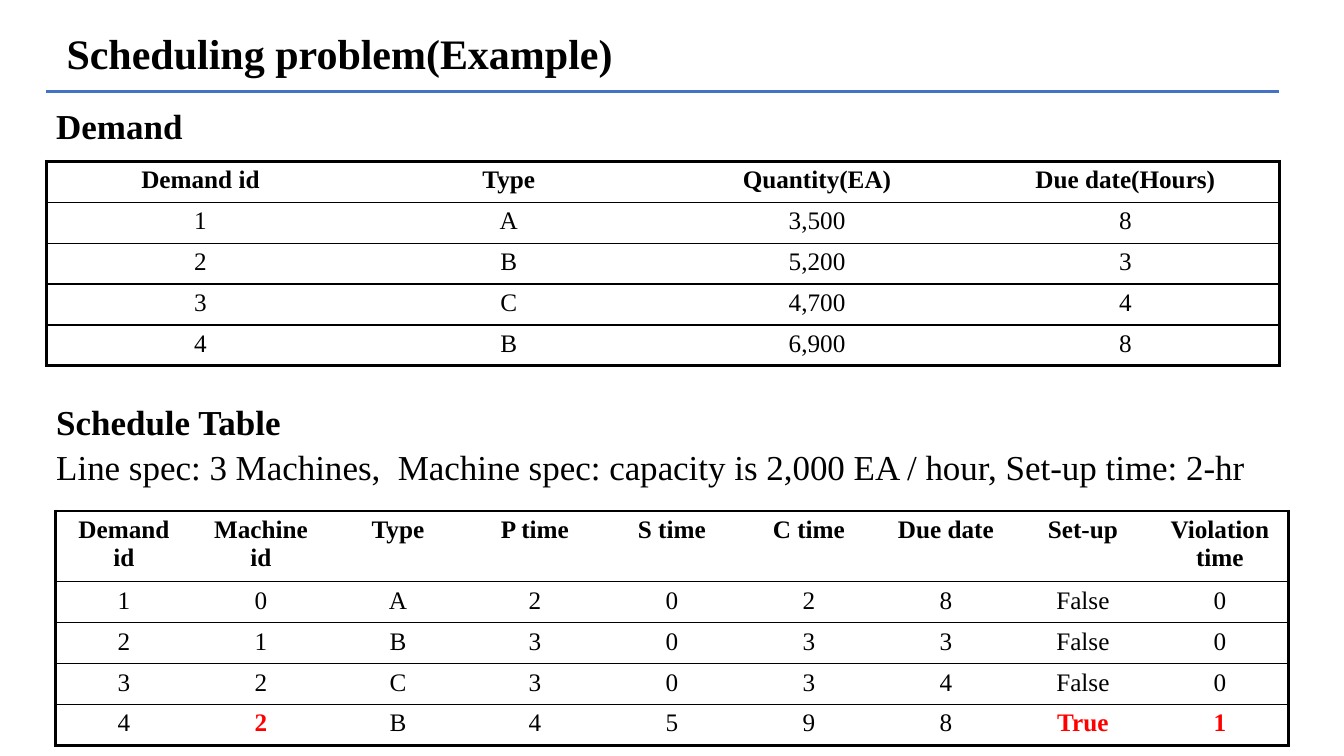
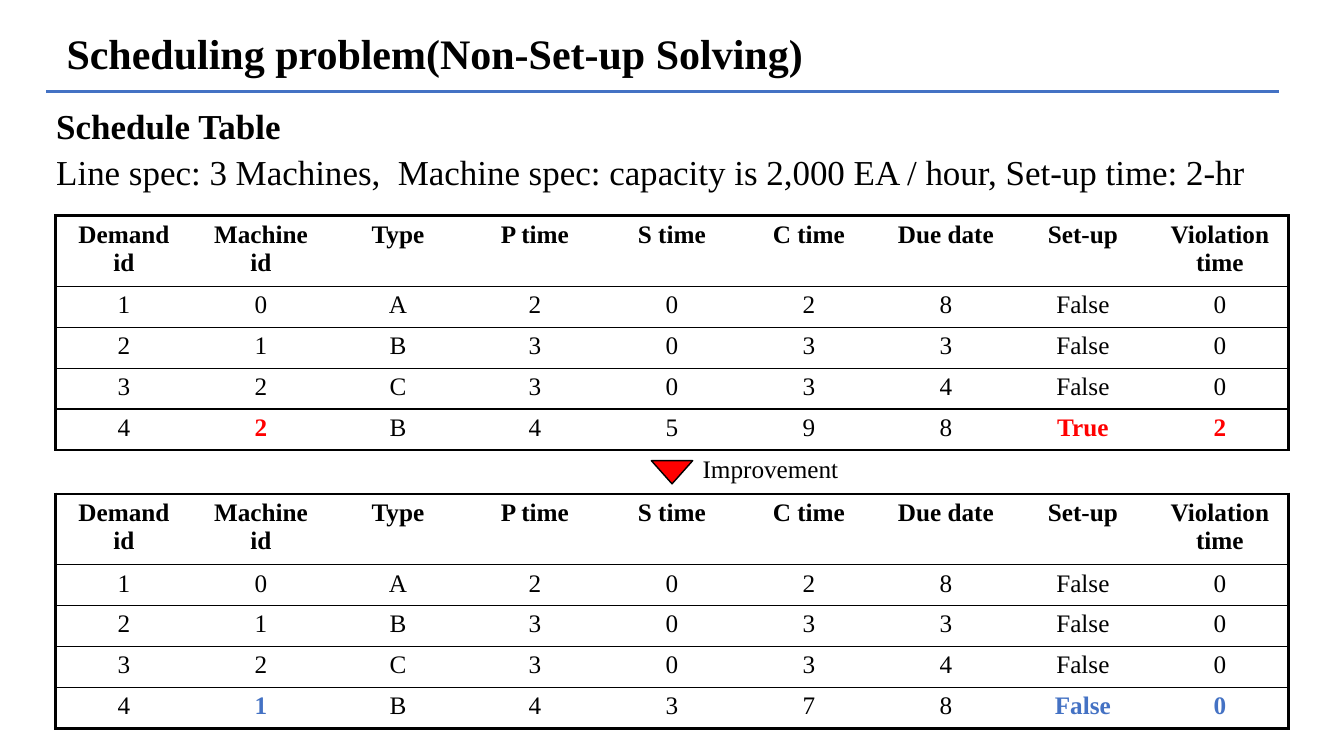
from lxml.etree import SubElement
from pptx import Presentation
from pptx.dml.color import RGBColor
from pptx.enum.shapes import MSO_CONNECTOR, MSO_SHAPE
from pptx.enum.text import MSO_ANCHOR, MSO_AUTO_SIZE, PP_ALIGN
from pptx.oxml.ns import qn
from pptx.util import Inches, Pt

FONT = "Times New Roman"
BLACK, BLUE, RED = "000000", "4472C4", "FF0000"
LEFT, WIDE, ROW = 0.46, 12.23, 2.03 / 5
GRID_LEFT, GRID_HIGH = 0.55, 2.32
THICK, THIN = 2.25, 1

DEMAND = [
    ("Demand id", "Type", "Quantity(EA)", "Due date(Hours)"),
    ("1", "A", "3,500", "8"),
    ("2", "B", "5,200", "3"),
    ("3", "C", "4,700", "4"),
    ("4", "B", "6,900", "8"),
]
PLAN = [
    ("Demand id", "Machine id", "Type", "P time", "S time", "C time",
     "Due date", "Set-up", "Violation time"),
    ("1", "0", "A", "2", "0", "2", "8", "False", "0"),
    ("2", "1", "B", "3", "0", "3", "3", "False", "0"),
    ("3", "2", "C", "3", "0", "3", "4", "False", "0"),
]
FIRST = ("4", "2", "B", "4", "5", "9", "8", "True", "1")
LATE = ("4", "2", "B", "4", "5", "9", "8", "True", "2")
BETTER = ("4", "1", "B", "4", "3", "7", "8", "False", "0")
MARKED = (1, 7, 8)
LINE_SPEC = ("Line spec: 3 Machines,  Machine spec: capacity is 2,000 EA / hour, "
             "Set-up time: 2-hr")


def color(code):
    return RGBColor.from_string(code)


def box(left, top, wide, high):
    return [Inches(n) for n in (left, top, wide, high)]


def write(frame, text, size, bold=False, tint=BLACK, align=PP_ALIGN.LEFT):
    frame.text = text
    para = frame.paragraphs[0]
    para.alignment = align
    font = para.font
    font.name, font.size, font.bold = FONT, Pt(size), bold
    font.color.rgb = color(tint)


def label(slide, text, top, size=25, bold=False, left=LEFT, wide=WIDE, high=0.52):
    frame = slide.shapes.add_textbox(*box(left, top, wide, high)).text_frame
    frame.word_wrap = True
    write(frame, text, size, bold)


def border(cell, side, width):
    props = cell._tc.get_or_add_tcPr()
    line = SubElement(props, qn("a:ln" + side), w=str(Pt(width)))
    if width:
        fill = SubElement(line, qn("a:solidFill"))
        SubElement(fill, qn("a:srgbClr"), val=BLACK)
    else:
        SubElement(line, qn("a:noFill"))


def grid(slide, rows, left, top, high, tint=None):
    count, span = len(rows), len(rows[0])
    table = slide.shapes.add_table(count, span, *box(left, top, WIDE, high)).table
    table.first_row = table.horz_banding = False
    for col in table.columns:
        col.width = Inches(WIDE / span)
    for y, row in enumerate(rows):
        table.rows[y].height = Inches(ROW if y else high - ROW * (count - 1))
        for x, text in enumerate(row):
            cell = table.cell(y, x)
            mark = tint and y == count - 1 and x in MARKED
            write(cell.text_frame, text, 18, bool(y == 0 or mark),
                  tint if mark else BLACK, PP_ALIGN.CENTER)
            border(cell, "L", THICK if x == 0 else 0)
            border(cell, "R", THICK if x == span - 1 else 0)
            border(cell, "T", THICK if y == 0 else THIN)
            border(cell, "B", THICK if y == count - 1 else THIN)
            cell.fill.background()


def plan(slide, last, top, tint):
    grid(slide, PLAN + [last], GRID_LEFT, top, GRID_HIGH, tint)


def spec_block(slide, top):
    label(slide, "Schedule Table", top, bold=True)
    label(slide, LINE_SPEC, top + 0.45)


def page(deck, text):
    slide = deck.slides.add_slide(deck.slide_layouts[5])
    title = slide.shapes.title
    title.left, title.top, title.width, title.height = box(LEFT, 0.22, WIDE, 0.61)
    frame = title.text_frame
    frame.auto_size = MSO_AUTO_SIZE.NONE
    frame.vertical_anchor = MSO_ANCHOR.TOP
    frame.margin_left = Inches(0.2)
    write(frame, text, 30, True)
    rule = slide.shapes.add_connector(
        MSO_CONNECTOR.STRAIGHT, *box(LEFT, 0.91, LEFT + WIDE, 0.91))
    rule.line.color.rgb = color(BLUE)
    rule.line.width = Pt(THICK)
    SubElement(rule._element.spPr, qn("a:effectLst"))
    return slide


def arrow(slide):
    shape = slide.shapes.add_shape(
        MSO_SHAPE.ISOSCELES_TRIANGLE, *box(6.46, 4.57, 0.41, 0.23))
    shape.rotation = 180
    shape.shadow.inherit = False
    shape.fill.solid()
    shape.fill.fore_color.rgb = color(RED)
    shape.line.color.rgb = color(BLACK)
    shape.line.width = Pt(THIN)


deck = Presentation()
deck.slide_width, deck.slide_height = Inches(13.33), Inches(7.5)

slide = page(deck, "Scheduling problem(Example)")
label(slide, "Demand", 0.99, bold=True)
grid(slide, DEMAND, LEFT, 1.6, ROW * len(DEMAND))
spec_block(slide, 3.92)
plan(slide, FIRST, 5.07, RED)

slide = page(deck, "Scheduling problem(Non-Set-up Solving)")
spec_block(slide, 0.99)
plan(slide, LATE, 2.14, RED)
plan(slide, BETTER, 4.9, BLUE)
arrow(slide)
label(slide, "Improvement", 4.45, 18, left=6.87, wide=2.22, high=0.4)

deck.save("out.pptx")
